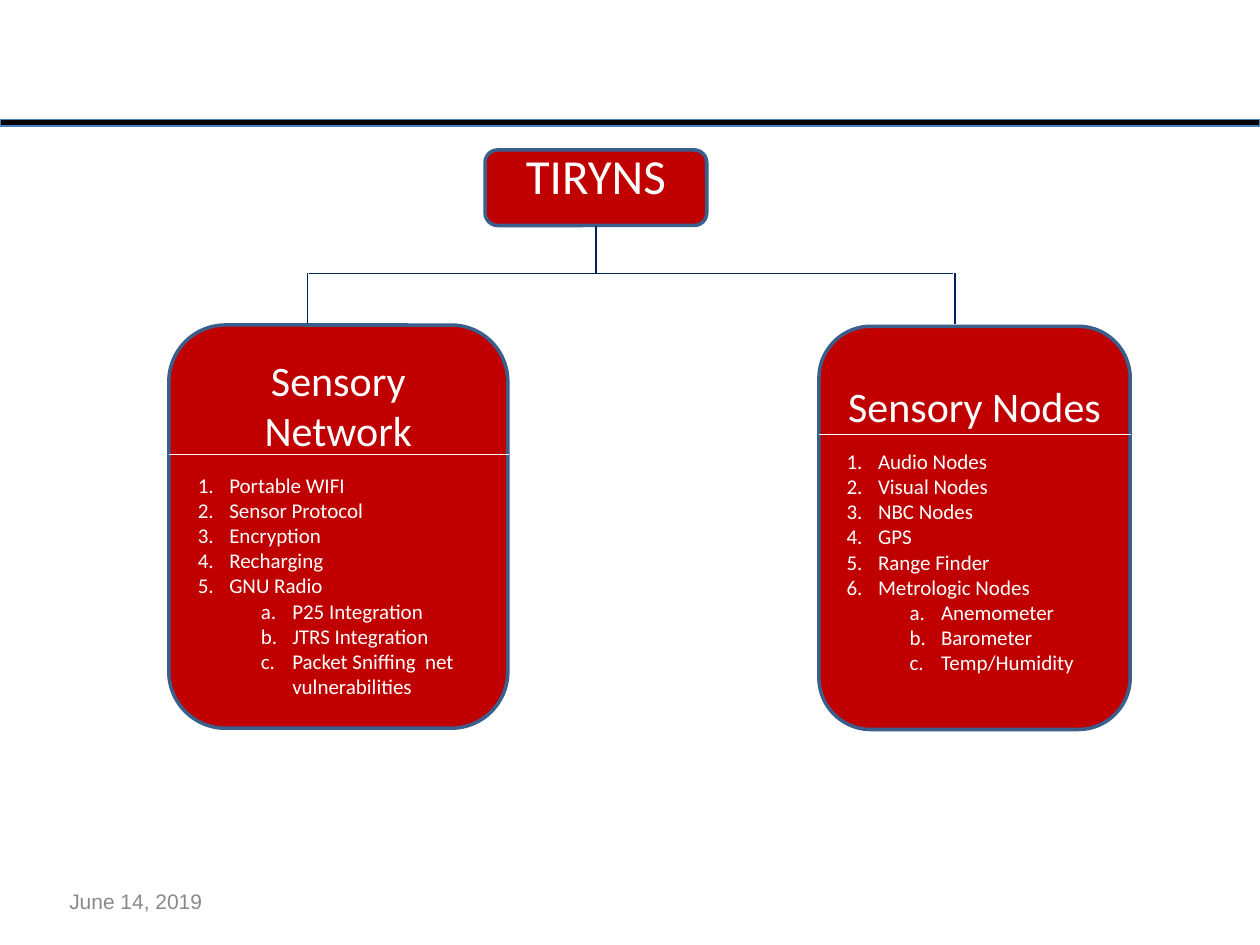
from lxml import etree
from pptx import Presentation
from pptx.dml.color import RGBColor
from pptx.enum.shapes import MSO_CONNECTOR, MSO_SHAPE
from pptx.enum.text import MSO_ANCHOR, PP_ALIGN
from pptx.oxml.ns import qn
from pptx.util import Inches, Pt

RECT, ROUND = MSO_SHAPE.RECTANGLE, MSO_SHAPE.ROUNDED_RECTANGLE
LINE = MSO_CONNECTOR.STRAIGHT
CENTER, LEFT = PP_ALIGN.CENTER, PP_ALIGN.LEFT
MIDDLE = MSO_ANCHOR.MIDDLE

BLACK = RGBColor(0x00, 0x00, 0x00)
WHITE = RGBColor(0xFF, 0xFF, 0xFF)
RED = RGBColor(0xC0, 0x00, 0x00)
STEEL = RGBColor(0x3A, 0x5F, 0x8C)
BLUE = RGBColor(0x4B, 0x7E, 0xBC)
NAVY = RGBColor(0x00, 0x20, 0x60)
GRAY = RGBColor(0x89, 0x89, 0x89)

NETWORK = ["Portable WIFI", "Sensor Protocol", "Encryption", "Recharging", "GNU Radio"]
LINKS = ["P25 Integration", "JTRS Integration", "Packet Sniffing  net vulnerabilities"]
NODES = ["Audio Nodes", "Visual Nodes", "NBC Nodes", "GPS", "Range Finder",
         "Metrologic Nodes"]
WEATHER = ["Anemometer", "Barometer", "Temp/Humidity"]


def add_box(shapes, kind, left, top, width, height, fill, edge, weight):
    """Add a filled and outlined shape without a shadow."""
    box = shapes.add_shape(kind, Inches(left), Inches(top), Inches(width), Inches(height))
    box.shadow.inherit = False
    box.fill.solid()
    box.fill.fore_color.rgb = fill
    box.line.color.rgb = edge
    box.line.width = Pt(weight)
    return box


def add_line(shapes, x1, y1, x2, y2, color, weight):
    """Add a straight connector without a shadow."""
    line = shapes.add_connector(LINE, Inches(x1), Inches(y1), Inches(x2), Inches(y2))
    line.line.color.rgb = color
    line.line.width = Pt(weight)
    etree.SubElement(line._element.spPr, qn("a:effectLst"))
    return line


def write(para, text, size, align, color=WHITE, font="Calibri"):
    """Fill a paragraph and format its run."""
    para.text = text
    para.alignment = align
    run = para.runs[0]
    run.font.size = Pt(size)
    run.font.name = font
    run.font.color.rgb = color


def add_items(frame, items, level, scheme):
    """Append numbered paragraphs at one list level."""
    for item in items:
        para = frame.add_paragraph()
        write(para, item, 12, LEFT)
        para.level = level
        props = para._p.get_or_add_pPr()
        props.set("marL", str(Inches(0.25 + 0.5 * level)))
        props.set("indent", str(Inches(-0.25)))
        etree.SubElement(props, qn("a:buFont"), typeface="+mj-lt")
        etree.SubElement(props, qn("a:buAutoNum"), type=scheme)


def add_card(slide, left, top, width, rule, title, items, details):
    """Add a grouped card with a title, a rule and a two-level list."""
    shapes = slide.shapes.add_group_shape().shapes
    box = add_box(shapes, ROUND, left, top, width, 3.2, RED, STEEL, 2)
    frame = box.text_frame
    frame.vertical_anchor = MIDDLE
    head = frame.paragraphs[0]
    write(head, title, 24, CENTER)
    head.space_after = Pt(9.8)
    add_items(frame, items, 0, "arabicPeriod")
    add_items(frame, details, 1, "alphaLcPeriod")
    add_line(shapes, left, rule, left + width + 0.01, rule, WHITE, 0.75)


def add_root(slide):
    """Add the top box of the tree."""
    box = add_box(slide.shapes, ROUND, 3.85, 1.19, 1.76, 0.6, RED, STEEL, 2)
    frame = box.text_frame
    frame.vertical_anchor = MIDDLE
    frame.margin_bottom = Inches(0.25)
    write(frame.paragraphs[0], "TIRYNS", 28, CENTER)
    return box


def add_tree(slide, root):
    """Add the lines that branch from the top box to the cards."""
    shapes = slide.shapes
    add_line(shapes, 2.45, 2.17, 7.56, 2.17, NAVY, 1)
    stem = add_line(shapes, 4.73, 1.79, 4.73, 2.17, NAVY, 1)
    stem.begin_connect(root, 2)
    for x in (2.44, 7.58):
        add_line(shapes, x, 2.17, x, 2.57, NAVY, 1)


def add_date(slide):
    """Add the date at the foot of the slide."""
    box = slide.shapes.add_textbox(Inches(0.5), Inches(7), Inches(2.33), Inches(0.3))
    frame = box.text_frame
    frame.word_wrap = True
    frame.vertical_anchor = MIDDLE
    frame.margin_left = frame.margin_right = Inches(0.05)
    write(frame.paragraphs[0], "June 14, 2019", 12, LEFT, GRAY, "Arial")


def main():
    """Build the slide and save it."""
    deck = Presentation()
    deck.slide_width, deck.slide_height = Inches(10), Inches(7.5)
    slide = deck.slides.add_slide(deck.slide_layouts[6])
    add_box(slide.shapes, RECT, 0, 0.95, 10, 0.05, BLACK, BLUE, 0.75)
    add_card(slide, 1.34, 2.58, 2.69, 3.61, "Sensory Network", NETWORK, LINKS)
    root = add_root(slide)
    add_tree(slide, root)
    add_card(slide, 6.5, 2.59, 2.47, 3.45, "Sensory Nodes", NODES, WEATHER)
    add_date(slide)
    deck.save("out.pptx")


if __name__ == "__main__":
    main()
